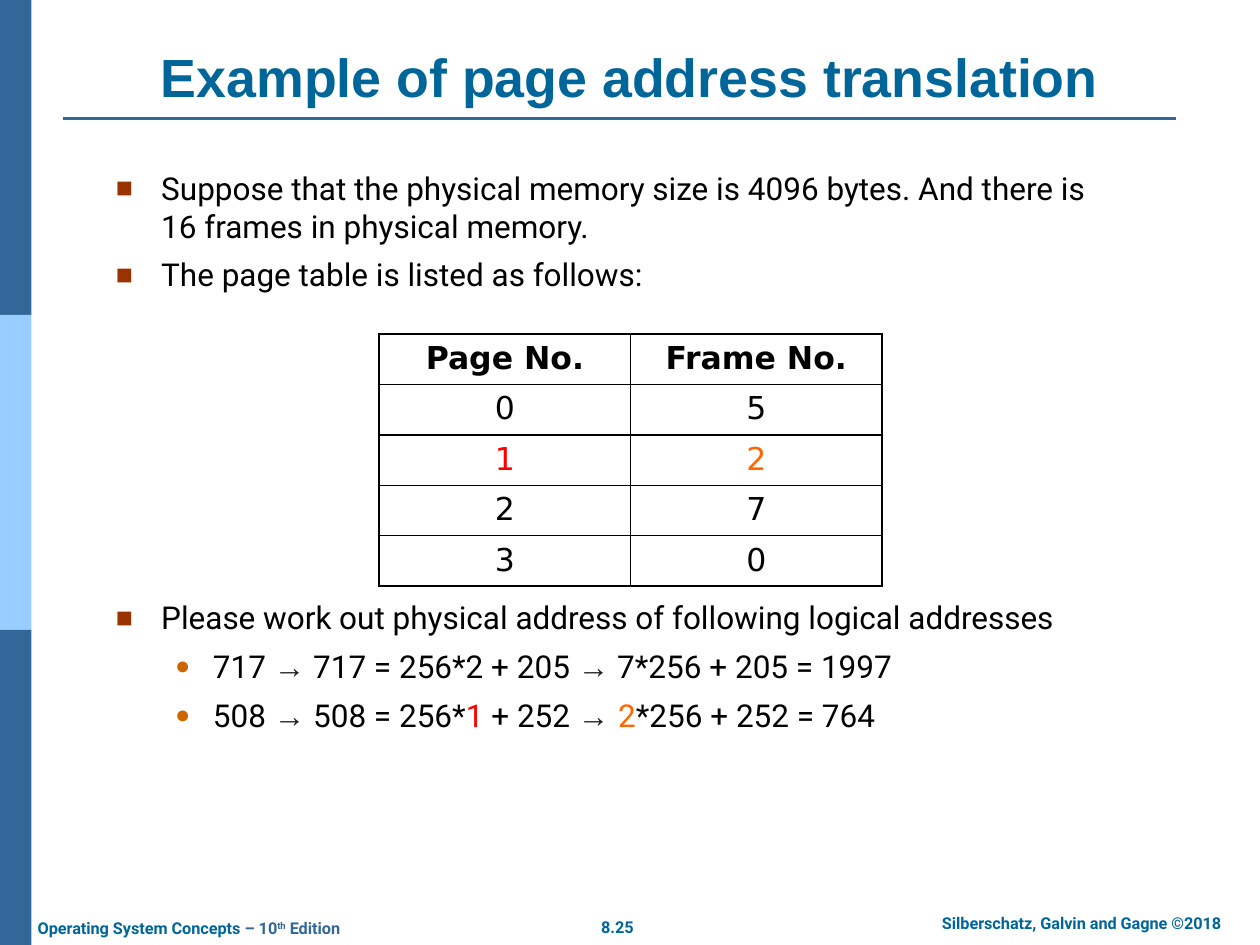
"""Build the slide on page address translation."""
from lxml import etree
from pptx import Presentation, util as u
from pptx.dml.color import RGBColor
from pptx.enum import shapes, text
from pptx.oxml.ns import qn

HUES = {"blue": "336699", "sky": "99CCFF", "teal": "006699", "black": "000000",
        "gray": "202124", "red": "FF0000", "orange": "FF6600",
        "rust": "993300", "amber": "CC6600", "white": "FFFFFF"}
BANDS = ["blue", "sky", "blue"]
TITLE = "Example of page address translation"
ARROW = ("→", "gray", "Arial")
INTRO = [
    (0, [("Suppose that the physical memory size is 4096 bytes. "
          "And there is 16\u00a0frames in physical memory.",)]),
    (0, [("The page table is listed as follows:",)]),
]
TASK = [
    (0, [("Please work out physical address of following logical addresses",)]),
    (1, [("717 ",), ARROW, (" 717 = 256*2 + 205 ",), ARROW,
         (" 7*256 + 205 = 1997",)]),
    (1, [("508 ",), ARROW, (" 508 = 256*",), ("1", "red"), (" + 252 ",),
         ("→ ", "gray", "Arial"), ("2", "orange"), ("*256 + 252 = 764",)]),
]
LEVELS = [(0.36, 0.36, "■", "rust", 90), (0.77, 0.3, "●", "amber", 80)]
ROWS = [("Page No.", "Frame No."), ("0", "5"), ("1", "2"), ("2", "7"), ("3", "0")]
MARKS = {(2, 0): "red", (2, 1): "orange"}
FEET = [
    ((4.67, 7.23, 0.46, 0.25), "CENTER", False, [("8.25", "teal")]),
    ((7.1, 7.2, 2.97, 0.25), "CENTER", True,
     [("Silberschatz, Galvin and Gagne ©2018", "teal")]),
    ((0.2, 7.24, 2.82, 0.25), "LEFT", False,
     [("Operating System Concepts", "teal"), (" – 10", "blue"),
      ("th", "blue", "Roboto", 30), (" Edition", "blue")]),
]


def rgb(hue):
    return RGBColor.from_string(HUES[hue])


def node(top, tag, **attrs):
    return etree.SubElement(top, qn(tag), attrs)


def write(para, runs, size, bold=False):
    for words, hue, face, rise in (r + ("black", "Roboto", 0)[len(r) - 1:] for r in runs):
        run = para.add_run()
        run.text = words
        font = run.font
        font.size, font.bold, font.name = u.Pt(size), bold, face
        font.color.rgb = rgb(hue)
        if rise:
            run._r.get_or_add_rPr().set("baseline", str(rise * 1000))


def add_box(slide, place, pad=(0.14, 0.07), wrap=True):
    frame = slide.shapes.add_textbox(*map(u.Inches, place)).text_frame
    frame.word_wrap = wrap
    frame.margin_left = frame.margin_right = u.Inches(pad[0])
    frame.margin_top = frame.margin_bottom = u.Inches(pad[1])
    return frame


def add_list(slide, place, items):
    frame = add_box(slide, place)
    for i, (level, runs) in enumerate(items):
        para = frame.add_paragraph() if i else frame.paragraphs[0]
        left, hang, mark, hue, size = LEVELS[level]
        para.level = level
        props = para._p.get_or_add_pPr()
        props.set("marL", str(u.Inches(left)))
        props.set("indent", str(-u.Inches(hang)))
        node(node(props, "a:buClr"), "a:srgbClr", val=HUES[hue])
        node(props, "a:buSzPct", val=str(size * 1000))
        node(props, "a:buFont", typeface="Arial")
        node(props, "a:buChar", char=mark)
        para.space_before = u.Pt(6.3 if i else 0)
        write(para, runs, 18)


def add_frame(slide):
    for i, hue in enumerate(BANDS):
        band = slide.shapes.add_shape(shapes.MSO_SHAPE.RECTANGLE, 0, u.Inches(2.5 * i),
                                      u.Inches(0.25), u.Inches(2.5))
        band.shadow.inherit = False
        band.fill.solid()
        band.fill.fore_color.rgb = rgb(hue)
        band.line.fill.background()
    rule = slide.shapes.add_connector(shapes.MSO_CONNECTOR.STRAIGHT,
                                      *map(u.Inches, (0.5, 0.94, 9.33, 0.94)))
    rule.line.color.rgb, rule.line.width = rgb("blue"), u.Pt(1.5)
    node(rule._element.spPr, "a:effectLst")
    for place, align, wrap, runs in FEET:
        para = add_box(slide, place, (0.1, 0.05), wrap).paragraphs[0]
        para.alignment = getattr(text.PP_ALIGN, align)
        write(para, runs, 9.3, True)


def add_grid(slide):
    size = len(ROWS), len(ROWS[0])
    grid = slide.shapes.add_table(*size, *map(u.Inches, (3.01, 2.65, 3.99, 1.95))).table
    for r, row in enumerate(ROWS):
        grid.rows[r].height = u.Inches(0.39)
        for c, words in enumerate(row):
            cell = grid.cell(r, c)
            props = cell._tc.get_or_add_tcPr()
            for side in "LRTB":
                edge = node(props, "a:ln" + side, w=str(u.Pt(1)))
                node(node(edge, "a:solidFill"), "a:srgbClr", val=HUES["black"])
            cell.fill.solid()
            cell.fill.fore_color.rgb = rgb("white")
            para = cell.text_frame.paragraphs[0]
            para.alignment = text.PP_ALIGN.CENTER
            write(para, [(words, MARKS.get((r, c), "black"), "DejaVu Sans")], 18, r == 0)


def main():
    deck = Presentation()
    deck.slide_width, deck.slide_height = u.Inches(10), u.Inches(7.5)
    slide = deck.slides.add_slide(deck.slide_layouts[6])
    add_frame(slide)
    head = add_box(slide, (0.5, 0.3, 9, 0.63))
    head.vertical_anchor = text.MSO_ANCHOR.BOTTOM
    head.paragraphs[0].alignment = text.PP_ALIGN.CENTER
    write(head.paragraphs[0], [(TITLE, "teal", "Arial")], 30.7, True)
    add_list(slide, (0.78, 1.27, 9, 1.2), INTRO)
    add_list(slide, (0.78, 4.68, 9, 1.54), TASK)
    add_grid(slide)
    deck.save("out.pptx")


if __name__ == "__main__":
    main()
